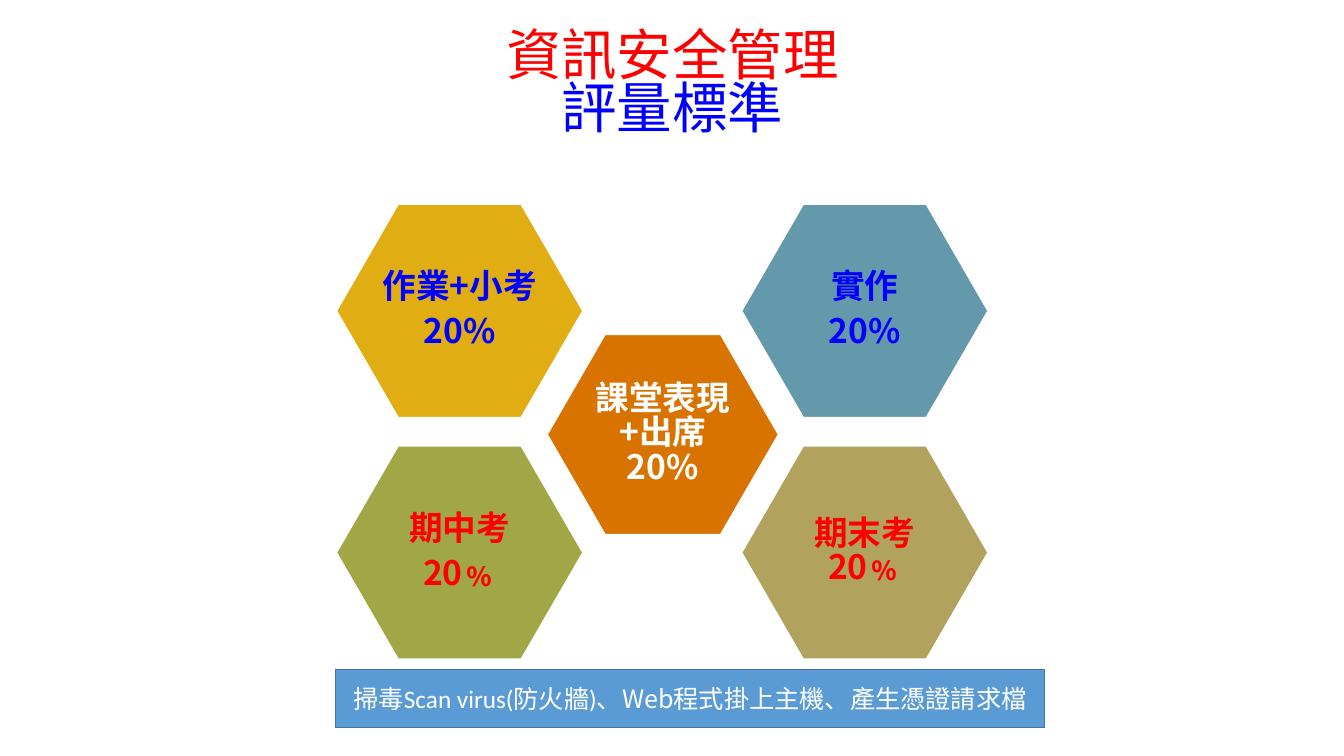
from dataclasses import dataclass

from lxml.etree import SubElement
from pptx import Presentation
from pptx.dml.color import RGBColor
from pptx.enum.shapes import MSO_SHAPE
from pptx.enum.text import MSO_ANCHOR, MSO_AUTO_SIZE, PP_ALIGN
from pptx.oxml.ns import qn
from pptx.util import Cm, Pt

SANS = "Noto Sans CJK SC"
TRAD = "Noto Sans CJK TC"
BLUE, RED, WHITE = "0000FF", "FF0000", "FFFFFF"
LEFT, RIGHT = 8.46, 18.67
TOP, LOW = 5.13, 11.22
WIDE, HIGH = 6.25, 5.41


@dataclass
class Run:
    text: str
    size: float
    tint: str
    font: str = SANS
    east: str = SANS
    bold: bool = False


@dataclass
class Hexa:
    lines: list[str]
    x: float
    y: float
    fill: str
    ink: str
    w: float = WIDE
    h: float = HIGH


HEXAS = [
    Hexa(["作業+小考", "20%"], LEFT, TOP, "E0AD12", BLUE),
    Hexa(["課堂表現+出席20%"], 13.77, 8.41, "D97300", WHITE, 5.87, 5.08),
    Hexa(["實作", "20%"], RIGHT, TOP, "6399AB", BLUE),
    Hexa(["期中考", "20﹪"], LEFT, LOW, "A1A646", RED),
    Hexa(["期末考20﹪"], RIGHT, LOW, "B1A35D", RED),
]


def color(code: str) -> RGBColor:
    return RGBColor.from_string(code)


def apply(item, form: dict) -> None:
    for key, value in form.items():
        setattr(item, key, value)


def write(frame, lines: list[list[Run]], form: dict) -> None:
    for i, runs in enumerate(lines):
        para = frame.paragraphs[0] if i == 0 else frame.add_paragraph()
        apply(para, {"alignment": PP_ALIGN.CENTER, **form})
        for part in runs:
            run = para.add_run()
            run.text = part.text
            apply(run.font, {"name": part.font, "size": Pt(part.size), "bold": part.bold})
            run.font.color.rgb = color(part.tint)
            SubElement(run.font._element, qn("a:ea")).set("typeface", part.east)


def block(slide, kind: MSO_SHAPE, box: tuple, fill: str, edge: str, width: float):
    shape = slide.shapes.add_shape(kind, *map(Cm, box))
    shape.shadow.inherit = False
    shape.fill.solid()
    shape.fill.fore_color.rgb = color(fill)
    shape.line.color.rgb = color(edge)
    shape.line.width = Pt(width)
    apply(shape.text_frame, {"word_wrap": True, "vertical_anchor": MSO_ANCHOR.MIDDLE})
    return shape


def draw(slide, hexa: Hexa) -> None:
    box = (hexa.x, hexa.y, hexa.w, hexa.h)
    shape = block(slide, MSO_SHAPE.HEXAGON, box, hexa.fill, WHITE, 2)
    shape.adjustments[0] = 0.289
    sides = ("left", "top", "right", "bottom")
    apply(shape.text_frame, {f"margin_{side}": Cm(0.13) for side in sides})
    lines = [[Run(text, 24, hexa.ink, bold=True)] for text in hexa.lines]
    write(shape.text_frame, lines, {"line_spacing": 0.85, "space_before": Pt(7.2)})


def main() -> None:
    deck = Presentation()
    apply(deck, {"slide_width": Cm(33.87), "slide_height": Cm(19.05)})
    slide = deck.slides.add_slide(deck.slide_layouts[5])

    title = slide.shapes.title
    apply(title, {"left": Cm(2.34), "top": Cm(0.69), "width": Cm(29.21), "height": Cm(3.15)})
    apply(title.text_frame, {
        "word_wrap": True,
        "auto_size": MSO_AUTO_SIZE.NONE,
        "vertical_anchor": MSO_ANCHOR.TOP,
    })
    heads = [[Run("資訊安全管理", 39.6, RED)], [Run("評量標準", 39.6, BLUE)]]
    write(title.text_frame, heads, {"line_spacing": 0.8, "space_before": Pt(0)})

    for hexa in HEXAS:
        draw(slide, hexa)

    box = (LEFT, 16.87, 17.86, 1.47)
    bar = block(slide, MSO_SHAPE.RECTANGLE, box, "5B9BD5", "43739E", 1)
    tasks = [
        Run("掃毒Scan virus(防火牆)", 18, WHITE, "Calibri", TRAD),
        Run("、Web程式掛上主機、產生憑證請求檔", 18, WHITE, TRAD, TRAD),
    ]
    write(bar.text_frame, [tasks], {})

    deck.save("out.pptx")


if __name__ == "__main__":
    main()
